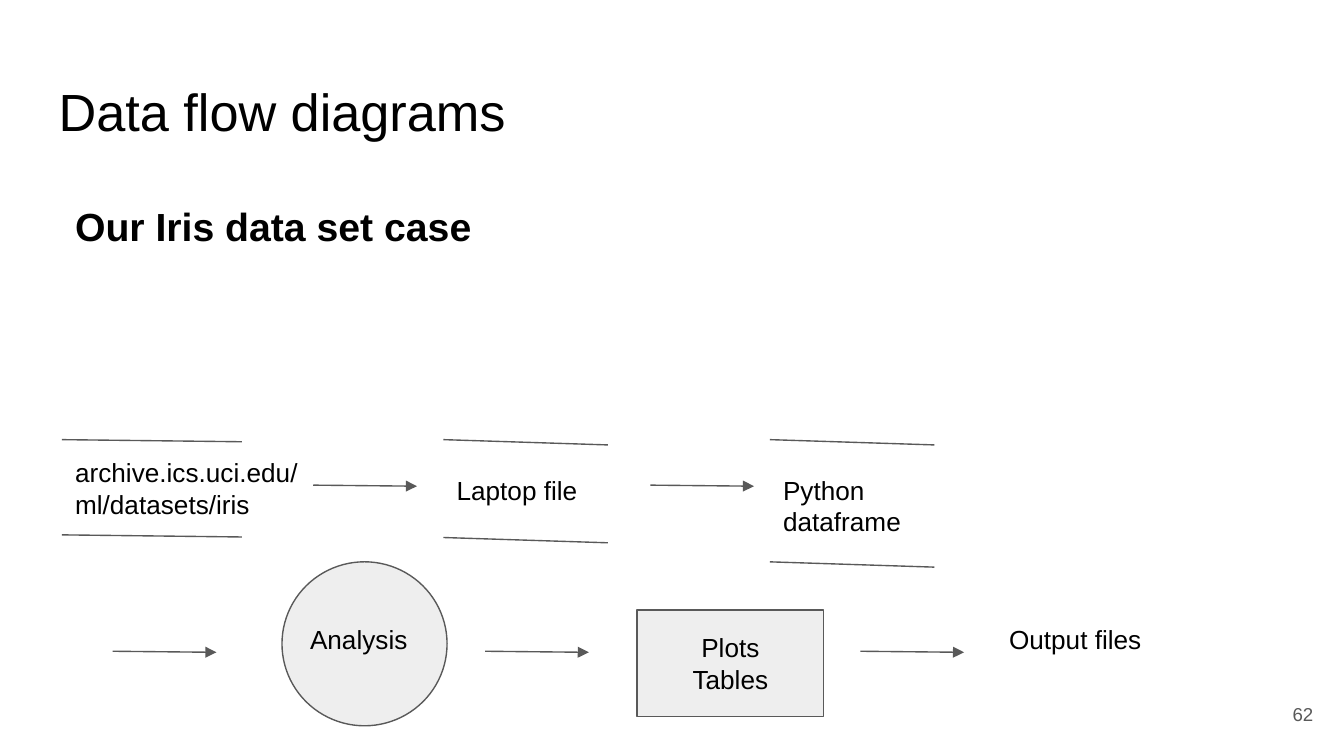
from lxml.etree import SubElement
from pptx import Presentation
from pptx.dml.color import RGBColor
from pptx.enum.shapes import MSO_CONNECTOR, MSO_SHAPE
from pptx.enum.text import MSO_ANCHOR, PP_ALIGN
from pptx.oxml.ns import qn
from pptx.util import Cm, Pt

BLACK = RGBColor(0x00, 0x00, 0x00)
GRAY = RGBColor(0x59, 0x59, 0x59)
LIGHT = RGBColor(0xEE, 0xEE, 0xEE)
FONT = "Arial"
MARGIN = 0.25
LABEL_WIDTH, LABEL_HEIGHT = 4.09, 1.6
ARROW_LENGTH, ARROW_DROP = 1.96, 0.02
STORE_TOP = 8.31
OUTPUT_TOP = 11.53


def write(shape, text, size=14, color=BLACK, bold=False,
          align=PP_ALIGN.LEFT, anchor=MSO_ANCHOR.TOP):
    frame = shape.text_frame
    frame.word_wrap = True
    frame.vertical_anchor = anchor
    frame.margin_left = frame.margin_right = Cm(MARGIN)
    frame.margin_top = frame.margin_bottom = Cm(MARGIN)
    frame.text = text
    for para in frame.paragraphs:
        para.alignment = align
        for span in para.runs:
            span.font.name = FONT
            span.font.size = Pt(size)
            span.font.bold = bold
            span.font.color.rgb = color


def add_label(page, text, left, top, width=LABEL_WIDTH, height=LABEL_HEIGHT, **style):
    box = page.shapes.add_textbox(Cm(left), Cm(top), Cm(width), Cm(height))
    write(box, text, **style)
    return box


def add_line(page, left, top, width, drop):
    line = page.shapes.add_connector(
        MSO_CONNECTOR.STRAIGHT, Cm(left), Cm(top), Cm(left + width), Cm(top + drop))
    line.line.color.rgb = GRAY
    line.line.width = Pt(0.75)
    SubElement(line._element.spPr, qn("a:effectLst"))
    return line


def add_arrow(page, left, top):
    arrow = add_line(page, left, top, ARROW_LENGTH, ARROW_DROP)
    SubElement(arrow.line._get_or_add_ln(), qn("a:tailEnd"), type="triangle")


def add_node(page, kind, left, top, width, height):
    node = page.shapes.add_shape(kind, Cm(left), Cm(top), Cm(width), Cm(height))
    node.shadow.inherit = False
    node.fill.solid()
    node.fill.fore_color.rgb = LIGHT
    node.line.color.rgb = GRAY
    node.line.width = Pt(0.75)
    return node


def add_store(page, text, left, width, height, drop, label_top, label_width=LABEL_WIDTH):
    """Draw a data store: a label between two nearly level lines."""
    for top in (STORE_TOP, STORE_TOP + height):
        add_line(page, left, top, width, drop)
    add_label(page, text, left, label_top, label_width)


def add_headings(page):
    add_label(page, "Data flow diagrams", 0.86, 1.24, 23.67, size=28)
    subtitle = add_label(page, "Our Iris data set case", 1.17, 3.45, 11.1, 3.1,
                         size=21, bold=True)
    subtitle.text_frame.paragraphs[0].line_spacing = 1.15
    add_label(page, "62", 23.55, 12.95, 1.52, 1.09, size=10, color=GRAY,
              align=PP_ALIGN.RIGHT, anchor=MSO_ANCHOR.MIDDLE)


def add_store_row(page):
    add_store(page, "archive.ics.uci.edu/ml/datasets/iris", 1.17, 3.4, 1.8, 0.04, 8.38, 4.75)
    add_store(page, "Laptop file", 8.38, 3.11, 1.85, 0.1, 8.71)
    add_store(page, "Python dataframe", 14.55, 3.11, 2.31, 0.1, 8.71)
    for left in (5.92, 12.29):
        add_arrow(page, left, 9.17)


def add_output_row(page):
    add_node(page, MSO_SHAPE.OVAL, 5.33, 10.62, 3.12, 3.1)
    add_label(page, "Analysis", 5.61, OUTPUT_TOP)
    results = add_node(page, MSO_SHAPE.RECTANGLE, 12.04, OUTPUT_TOP, 3.53, 2.01)
    write(results, "Plots\nTables", align=PP_ALIGN.CENTER, anchor=MSO_ANCHOR.MIDDLE)
    add_label(page, "Output files", 18.82, OUTPUT_TOP)
    for left in (2.13, 9.17, 16.26):
        add_arrow(page, left, 12.31)


def main():
    deck = Presentation()
    deck.slide_width, deck.slide_height = Cm(25.4), Cm(14.29)
    page = deck.slides.add_slide(deck.slide_layouts[6])
    add_headings(page)
    add_store_row(page)
    add_output_row(page)
    deck.save("out.pptx")


if __name__ == "__main__":
    main()
